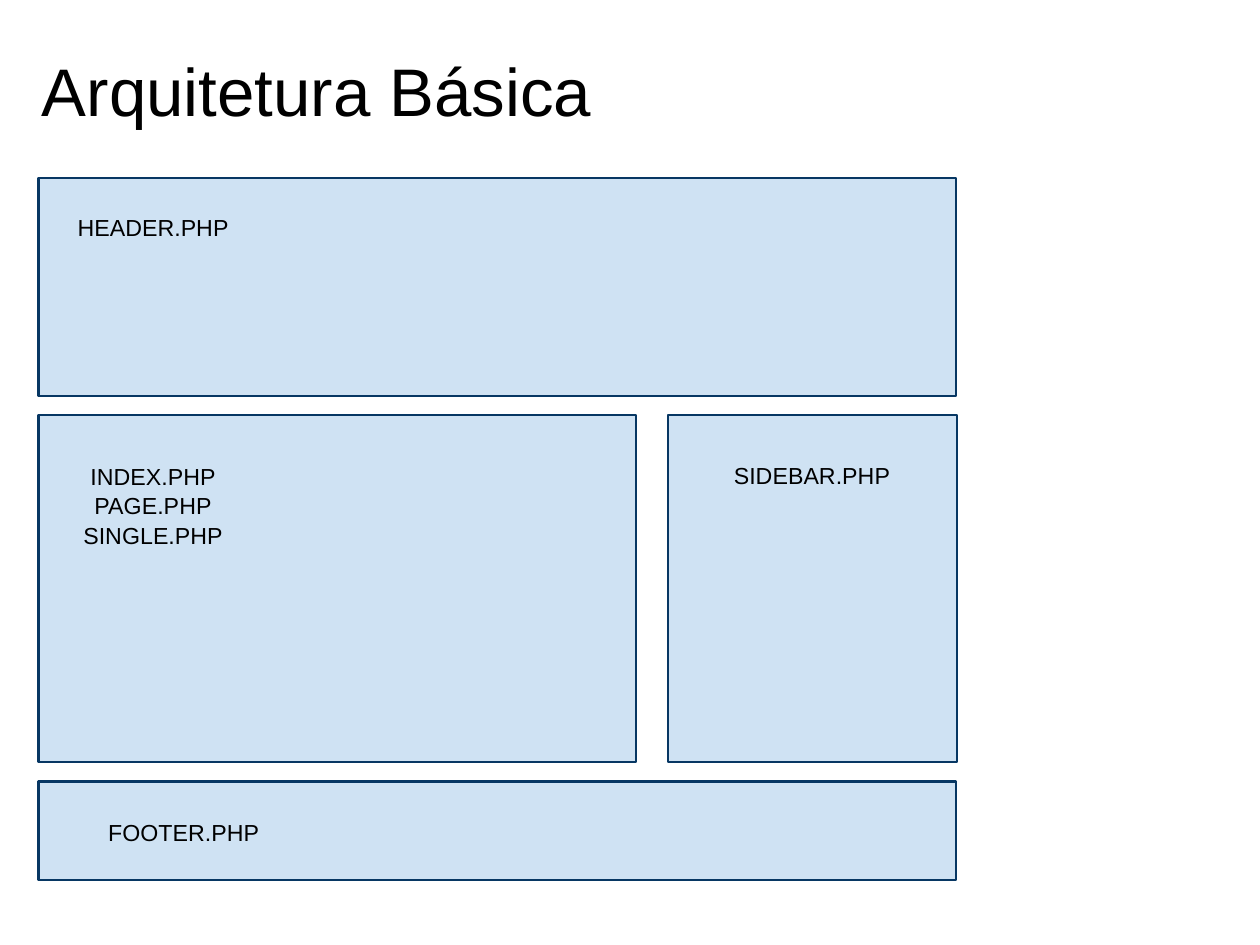
from pptx import Presentation
from pptx.dml.color import RGBColor
from pptx.enum.shapes import MSO_SHAPE
from pptx.enum.text import MSO_ANCHOR, PP_ALIGN
from pptx.util import Inches, Pt

BLACK = RGBColor(0x00, 0x00, 0x00)
PALE_BLUE = RGBColor(0xCF, 0xE2, 0xF3)
NAVY = RGBColor(0x07, 0x37, 0x63)


def add_run(paragraph, text, size):
    run = paragraph.add_run()
    run.text = text
    run.font.name = "Arial"
    run.font.size = Pt(size)
    run.font.color.rgb = BLACK


def set_margins(frame, side, top):
    frame.margin_left = frame.margin_right = frame.margin_bottom = Inches(side)
    frame.margin_top = Inches(top)


prs = Presentation()
prs.slide_width, prs.slide_height = Inches(11.11), Inches(8.33)
slide = prs.slides.add_slide(prs.slide_layouts[5])

title = slide.shapes.title
title.left, title.top = Inches(0.33), Inches(0.33)
title.width, title.height = Inches(10.53), Inches(1.08)
heading = title.text_frame
heading.vertical_anchor = MSO_ANCHOR.TOP
set_margins(heading, 0.04, 0.1)
heading.paragraphs[0].alignment = PP_ALIGN.LEFT
add_run(heading.paragraphs[0], "Arquitetura Básica", 42.7)

# Page regions: area box, label box (left, top, width, height), file names
regions = [
    ((0.34, 1.57, 8.09, 1.92), (0.53, 1.74, 1.64, 0.52), ["HEADER.PHP"]),
    ((0.34, 3.66, 5.27, 3.06), (0.53, 3.84, 1.64, 1.22),
     ["INDEX.PHP", "PAGE.PHP", "SINGLE.PHP"]),
    ((5.89, 3.66, 2.55, 3.06), (6.16, 3.92, 2, 0.52), ["SIDEBAR.PHP"]),
    ((0.34, 6.89, 8.09, 0.87), (0.8, 7.07, 1.64, 0.52), ["FOOTER.PHP"]),
]

for area_box, label_box, file_names in regions:
    area = slide.shapes.add_shape(MSO_SHAPE.RECTANGLE, *map(Inches, area_box))
    area.shadow.inherit = False
    area.fill.solid()
    area.fill.fore_color.rgb = PALE_BLUE
    area.line.color.rgb = NAVY
    area.line.width = Pt(1.5)

    label = slide.shapes.add_textbox(*map(Inches, label_box)).text_frame
    label.word_wrap = True
    label.vertical_anchor = MSO_ANCHOR.MIDDLE
    set_margins(label, 0.1, 0.1)
    names = label.paragraphs[0]
    names.alignment = PP_ALIGN.CENTER
    names.line_spacing = 1.05
    for position, file_name in enumerate(file_names):
        if position:
            names.add_line_break()
        add_run(names, file_name, 14.7)

prs.save("out.pptx")
